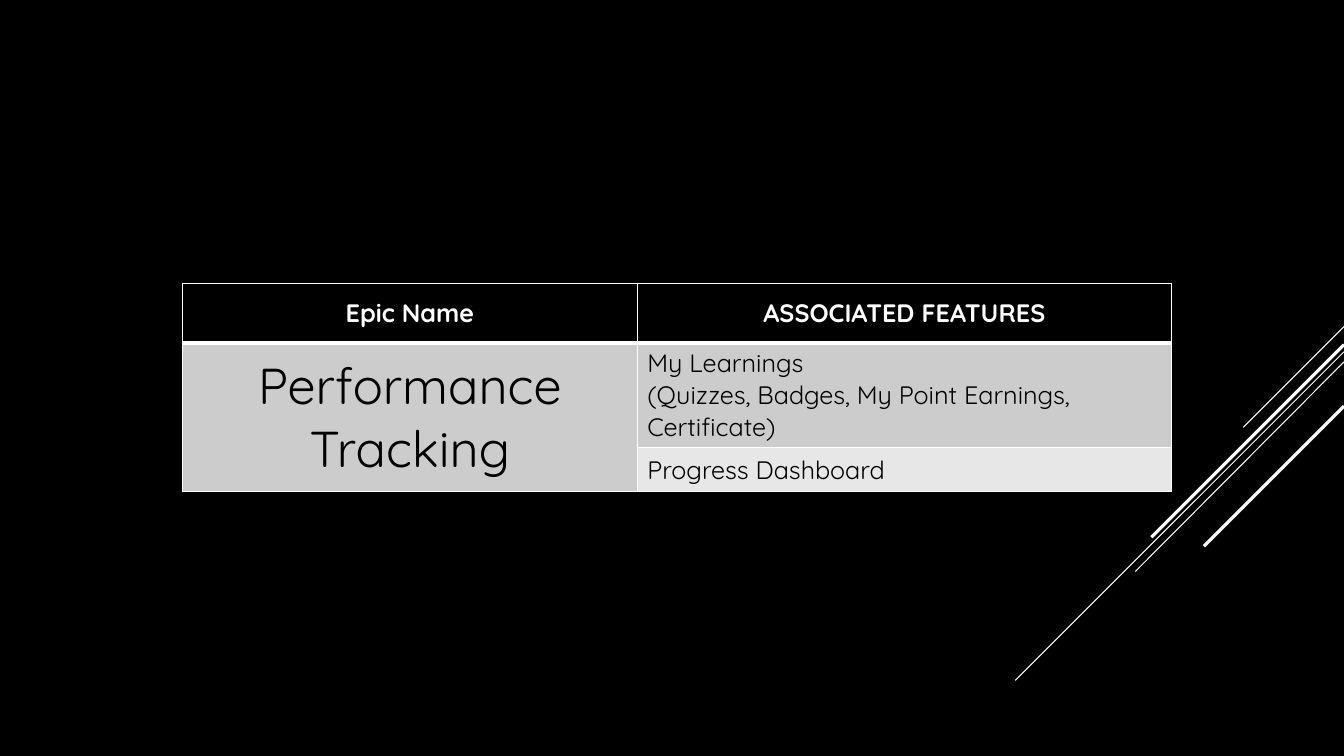
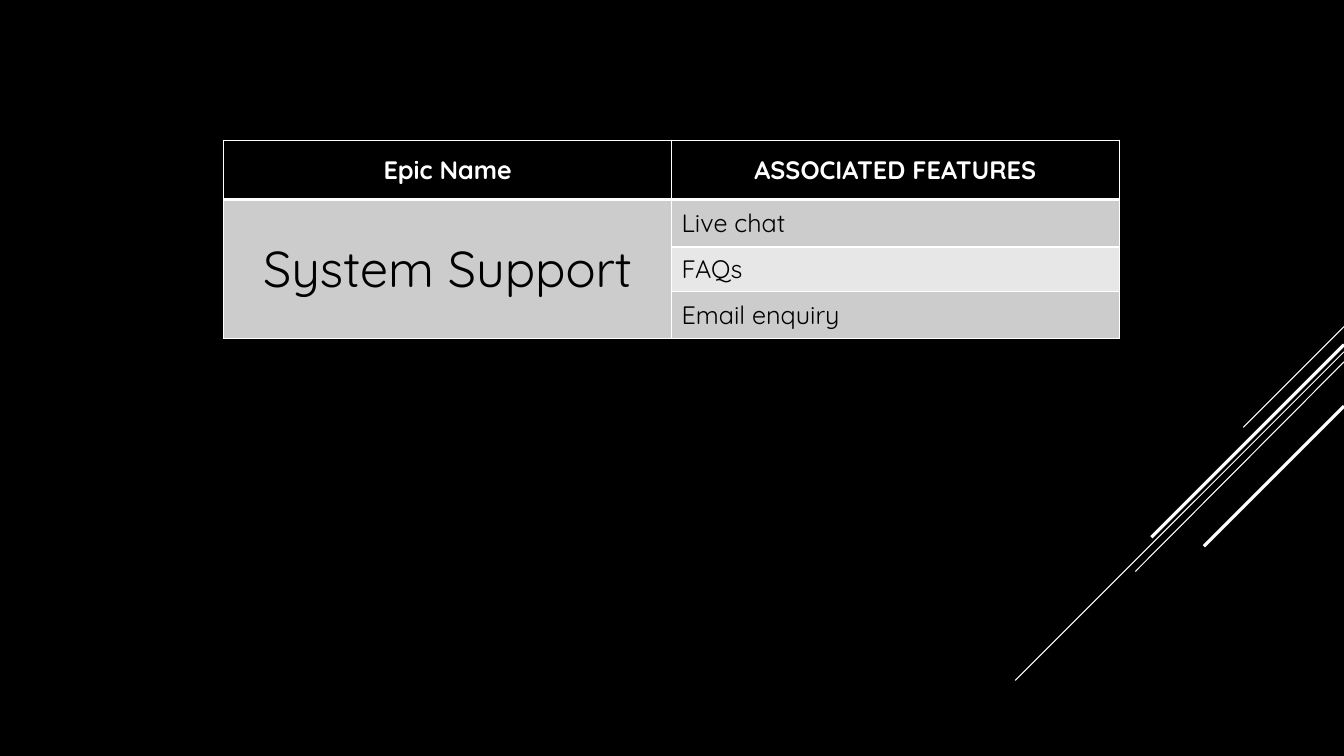
from lxml import etree
from pptx import Presentation
from pptx.dml.color import RGBColor
from pptx.enum import shapes, text
from pptx.oxml import ns
from pptx.util import Inches, Pt

BLACK = RGBColor(0x00, 0x00, 0x00)
WHITE = RGBColor(0xFF, 0xFF, 0xFF)
DARK_BAND = RGBColor(0xCC, 0xCC, 0xCC)
LIGHT_BAND = RGBColor(0xE7, 0xE7, 0xE7)
FONT = "Quicksand"
HEADINGS = ("Epic Name", "ASSOCIATED FEATURES")
RIGHT_EDGE = 13.33
STREAKS = (
    (3.24, 12.33, 4.24, 0.75),
    (3.49, 10.07, 6.75, 0.75),
    (3.59, 11.26, 5.67, 0.75),
    (3.42, 11.42, 5.33, 2.25),
    (4.03, 11.94, 5.42, 2.25),
)


class EpicDeck:
    """Holds the deck style and the current page, and draws each kind of element."""

    def __init__(self):
        self.deck = Presentation()
        self.deck.slide_width = Inches(13.33)
        self.deck.slide_height = Inches(7.5)
        background = self.deck.slide_master.background.fill
        background.solid()
        background.fore_color.rgb = BLACK
        self.page = None

    def add_page(self):
        self.page = self.deck.slides.add_slide(self.deck.slide_layouts[6])
        for top, end_x, end_y, weight in STREAKS:
            self.add_line(RIGHT_EDGE, top, end_x, end_y, weight)

    def add_line(self, start_x, start_y, end_x, end_y, weight):
        line = self.page.shapes.add_connector(
            shapes.MSO_CONNECTOR.STRAIGHT,
            Inches(start_x), Inches(start_y), Inches(end_x), Inches(end_y))
        line.line.color.rgb = WHITE
        line.line.width = Pt(weight)
        etree.SubElement(line._element.spPr, ns.qn("a:effectLst"))

    def set_borders(self, cell, top=1, bottom=1):
        properties = cell._tc.get_or_add_tcPr()
        weights = {"lnL": 1, "lnR": 1, "lnT": top, "lnB": bottom}
        for position, (side, weight) in enumerate(weights.items()):
            border = etree.Element(ns.qn(f"a:{side}"), w=str(Pt(weight)))
            fill = etree.SubElement(border, ns.qn("a:solidFill"))
            etree.SubElement(fill, ns.qn("a:srgbClr"), val=str(WHITE))
            properties.insert(position, border)

    def write_cell(self, cell, lines, size=18, color=BLACK, bold=False, centered=False):
        cell.vertical_anchor = text.MSO_ANCHOR.MIDDLE
        frame = cell.text_frame
        for index, line in enumerate(lines):
            para = frame.add_paragraph() if index else frame.paragraphs[0]
            para.alignment = text.PP_ALIGN.CENTER if centered else text.PP_ALIGN.LEFT
            span = para.add_run()
            span.text = line
            span.font.name = FONT
            span.font.size = Pt(size)
            span.font.bold = bold
            span.font.color.rgb = color

    def add_epic_table(self, left, top, widths, heights, epic, features):
        table = self.page.shapes.add_table(
            len(heights), len(widths), Inches(left), Inches(top),
            Inches(sum(widths)), Inches(sum(heights))).table
        table.first_row = table.horz_banding = False
        for column, width in zip(table.columns, widths):
            column.width = Inches(width)
        for index, (row, height) in enumerate(zip(table.rows, heights)):
            row.height = Inches(height)
            for column, cell in enumerate(row.cells):
                cell.fill.solid()
                band = DARK_BAND if index % 2 or column == 0 else LIGHT_BAND
                cell.fill.fore_color.rgb = band if index else BLACK
                self.set_borders(cell, top=3 if index == 1 else 1,
                                 bottom=1 if index else 3)
        for column, heading in enumerate(HEADINGS):
            self.write_cell(table.cell(0, column), [heading],
                            color=WHITE, bold=True, centered=True)
        epic_cell = table.cell(1, 0)
        epic_cell.merge(table.cell(len(features), 0))
        self.write_cell(epic_cell, epic, size=36, centered=True)
        for index, lines in enumerate(features, start=1):
            self.write_cell(table.cell(index, 1), lines)


def main():
    epics = EpicDeck()
    epics.add_page()
    epics.add_epic_table(
        1.81, 2.81, (4.51, 5.3), (0.59, 1.03, 0.44),
        ["Performance", "Tracking"],
        [["My Learnings", "(Quizzes, Badges, My Point Earnings, Certificate)"],
         ["Progress Dashboard"]])
    epics.add_page()
    epics.add_epic_table(
        2.22, 1.39, (4.44, 4.44), (0.59, 0.47, 0.44, 0.47),
        ["System Support"],
        [["Live chat"], ["FAQs"], ["Email enquiry"]])
    epics.deck.save("out.pptx")


if __name__ == "__main__":
    main()
